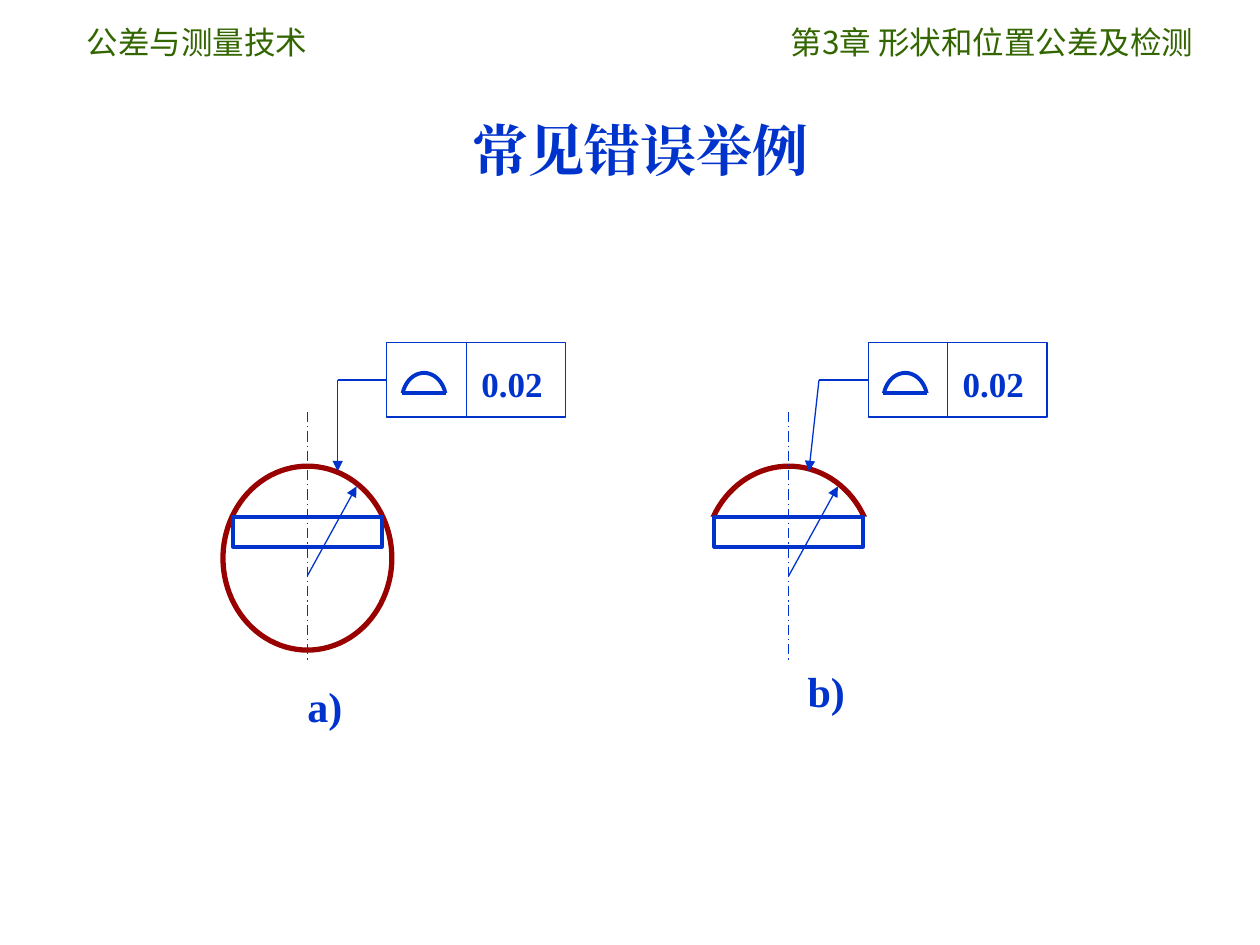
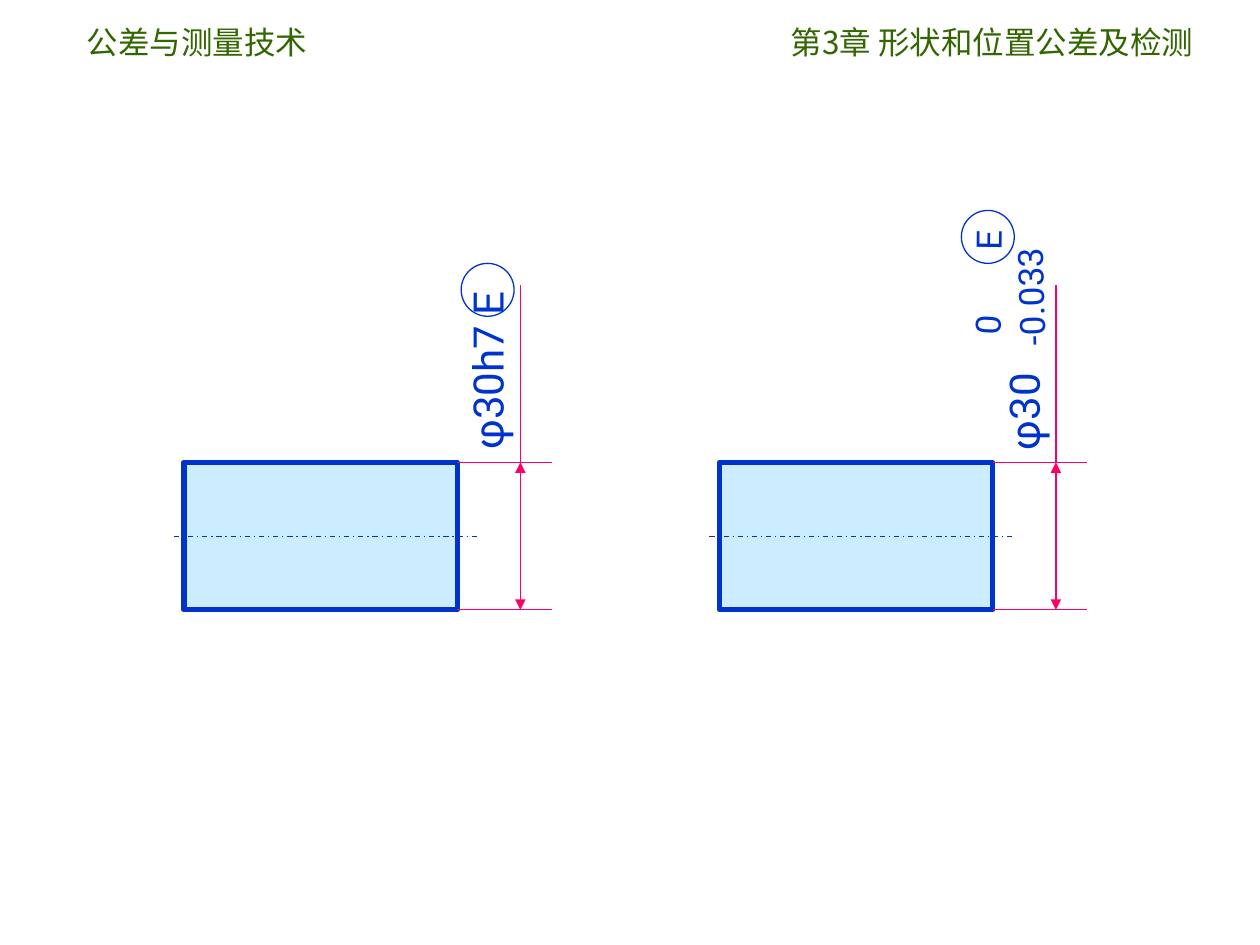
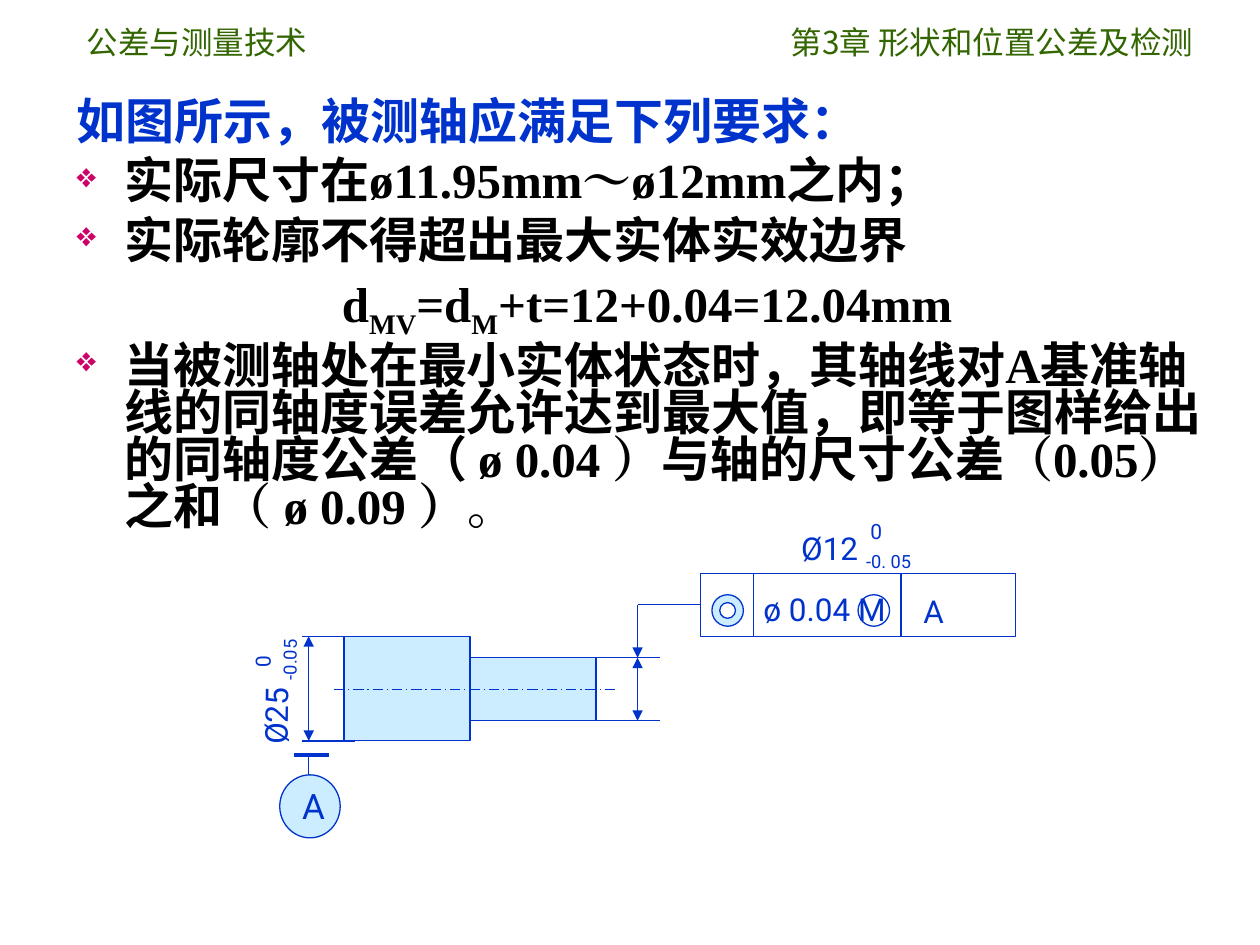
from dataclasses import dataclass
from typing import NamedTuple

import pptx
import pptx.dml.color
import pptx.enum.dml
import pptx.enum.shapes
import pptx.enum.text
import pptx.oxml.ns
import pptx.util
from lxml import etree

RGB = pptx.dml.color.RGBColor
SHAPE = pptx.enum.shapes.MSO_SHAPE
DASH = pptx.enum.dml.MSO_LINE
ALIGN = pptx.enum.text.PP_ALIGN

# Shared look
BLUE = RGB(0x00, 0x33, 0xCC)
GREEN = RGB(0x33, 0x66, 0x00)
RED = RGB(0x99, 0x00, 0x00)
PINK = RGB(0xFF, 0x00, 0x66)
ROSE = RGB(0xCC, 0x00, 0x66)
PALE = RGB(0xCC, 0xEC, 0xFF)
WHITE = RGB(0xFF, 0xFF, 0xFF)
BLACK = RGB(0x00, 0x00, 0x00)
HAN, SANS, SERIF = "Noto Sans CJK SC", "Roboto", "Times New Roman"

# The page is a grid of 100 columns by 75 rows of square cells
WIDE, HIGH = pptx.util.Inches(10), pptx.util.Inches(7.5)
CELL = WIDE // 100


class Box(NamedTuple):
    x: float
    y: float
    w: float
    h: float


class Pen(NamedTuple):
    color: RGB = BLUE
    width: float = 0.75
    dash: DASH | None = None


class Run(NamedTuple):
    words: str
    font: str = HAN
    color: RGB = BLACK
    base: int = 0


@dataclass
class Para:
    runs: list[Run]
    bullet: bool = False
    align: ALIGN = ALIGN.LEFT


@dataclass
class Label:
    words: str
    box: Box
    size: float
    turn: float = 0
    sub: str = ""


THIN, BOLD = Pen(), Pen(width=2.25)
AXIS = Pen(dash=DASH.LONG_DASH_DOT)
MARK = Pen(PINK)


def cells(n: float) -> pptx.util.Emu:
    return pptx.util.Emu(round(n * CELL))


def child(node, tag: str, **attrs: str):
    return etree.SubElement(node, pptx.oxml.ns.qn(tag), attrs)


def ink(line, pen: Pen) -> None:
    line.color.rgb = pen.color
    line.width = pptx.util.Pt(pen.width)
    if pen.dash:
        line.dash_style = pen.dash


def shape(slide, kind: SHAPE, box: Box, fill: RGB | None = None, pen: Pen | None = THIN):
    item = slide.shapes.add_shape(kind, *map(cells, box))
    item.shadow.inherit = False
    if fill is None:
        item.fill.background()
    else:
        item.fill.solid()
        item.fill.fore_color.rgb = fill
    if pen is None:
        item.line.fill.background()
    else:
        ink(item.line, pen)
    return item


def line(slide, x1: float, y1: float, x2: float, y2: float, pen: Pen = THIN,
         head: bool = False, tail: bool = False):
    kind = pptx.enum.shapes.MSO_CONNECTOR.STRAIGHT
    item = slide.shapes.add_connector(kind, *map(cells, (x1, y1, x2, y2)))
    ink(item.line, pen)
    for tag, used in (("a:headEnd", head), ("a:tailEnd", tail)):
        if used:
            child(item.line._get_or_add_ln(), tag, type="triangle")
    child(item._element.spPr, "a:effectLst")
    return item


def text(slide, words: str | list[Para], box: Box, *, size: float, font: str = SANS,
         color: RGB = BLUE, bold: bool = False, align: ALIGN = ALIGN.LEFT,
         turn: float = 0, pad: float = 1, grow: bool = True, hang: float = 0,
         lead: float | None = None, gap: float = 0) -> None:
    item = slide.shapes.add_textbox(*map(cells, box))
    item.rotation = turn
    frame = item.text_frame
    frame.word_wrap = True
    sizing = pptx.enum.text.MSO_AUTO_SIZE
    frame.auto_size = sizing.SHAPE_TO_FIT_TEXT if grow else sizing.NONE
    frame.margin_left = frame.margin_right = cells(pad)
    frame.margin_top = frame.margin_bottom = cells(pad / 2)
    if isinstance(words, str):
        words = [Para([Run(words, font, color)], align=align)]
    for i, para in enumerate(words):
        line_ = frame.add_paragraph() if i else frame.paragraphs[0]
        line_.alignment = para.align
        if lead:
            line_.line_spacing = lead
        if i and gap:
            line_.space_before = pptx.util.Pt(gap)
        props = line_._p.get_or_add_pPr()
        if hang:
            props.set("marL", str(cells(hang)))
            props.set("indent", str(cells(-hang)))
        if para.bullet:
            child(child(props, "a:buClr"), "a:srgbClr", val=str(ROSE))
            child(props, "a:buSzPct", val="70000")
            child(props, "a:buChar", char="❖")
        for part in para.runs:
            run = line_.add_run()
            run.text = part.words
            run.font.size = pptx.util.Pt(size)
            run.font.bold = bold
            run.font.color.rgb = part.color
            run.font.name = part.font
            rpr = run._r.get_or_add_rPr()
            child(rpr, "a:ea", typeface=part.font)
            if part.base:
                rpr.set("baseline", str(part.base * 1000))


def label(slide, tag: Label) -> None:
    runs = [Run(tag.words, SANS, BLUE)]
    if tag.sub:
        runs.append(Run(tag.sub, SANS, BLUE, -25))
    text(slide, [Para(runs)], tag.box, size=tag.size, turn=tag.turn)


def page(deck):
    """A blank slide with the running heads."""
    slide = deck.slides.add_slide(deck.slide_layouts[6])
    text(slide, "公差与测量技术", Box(5.9, 1.3, 21.4, 4), size=18, font=HAN, color=GREEN)
    text(slide, "第3章 形状和位置公差及检测", Box(58.7, 1.3, 37, 4), size=18, font=HAN,
         color=GREEN, align=ALIGN.RIGHT)
    return slide


def control(slide, box: Box, splits: list[float], turn_x: float, tip: tuple[float, float]) -> None:
    """A tolerance frame with its dividers and a bent leader."""
    frame = shape(slide, SHAPE.RECTANGLE, box)
    for split in splits:
        line(slide, box.x + split, box.y, box.x + split, box.y + box.h)
    mid = box.y + box.h / 2
    line(slide, turn_x, mid, *tip, tail=True)
    line(slide, turn_x, mid, box.x, mid).end_connect(frame, 1)


# Slide 1: profile tolerance on a cap
def cap(slide, x: float, tip: float, cut: bool) -> None:
    shape(slide, SHAPE.OVAL, Box(x, 37, 13.4, 14.6), pen=Pen(RED, 3))
    if cut:
        shape(slide, SHAPE.RECTANGLE, Box(x - 1.2, 41, 17.7, 11.4), WHITE, None)
    shape(slide, SHAPE.RECTANGLE, Box(x + 0.8, 41, 11.8, 2.4), WHITE, BOLD)
    mid = x + 6.7
    line(slide, mid, 32.7, mid, 52.4, AXIS)
    line(slide, mid, 45.7, mid + 3.9, 38.6, tail=True)
    # Profile symbol: an oval with its lower part covered
    left = x + 14.2
    shape(slide, SHAPE.OVAL, Box(left, 29.6, 3.5, 4.3), pen=BOLD)
    shape(slide, SHAPE.RECTANGLE, Box(left - 0.4, 31.2, 5.1, 3.5), WHITE, None)
    line(slide, left, 31.2, left + 3.5, 31.2, BOLD)
    text(slide, "0.02", Box(x + 20.5, 28.8, 6.3, 3.3), size=20, font=SERIF, bold=True, pad=0)
    control(slide, Box(x + 13, 27.2, 14.2, 5.9), [6.3], x + 9.1, (x + tip, 37.4))


def errors(deck) -> None:
    slide = page(deck)
    text(slide, "常见错误举例", Box(37.5, 9.2, 28.2, 5.3), size=32, font=SERIF, bold=True, pad=0)
    cap(slide, 17.7, 9.1, False)
    cap(slide, 55.9, 8.3, True)
    for words, x, y in (("a)", 24.4, 54), ("b)", 64.1, 52.8)):
        text(slide, words, Box(x, y, 3.5, 4), size=24, font=SERIF, bold=True, pad=0)


# Slide 2: envelope requirement on a shaft
def shaft(slide, x: float, ring: Box, tags: list[Label]) -> None:
    body = Box(x, 36.7, 21.7, 11.7)
    right, low = body.x + body.w, body.y + body.h
    shape(slide, SHAPE.RECTANGLE, body, PALE, Pen(width=3))
    line(slide, x - 0.8, 42.6, x + 23.3, 42.6, Pen(dash=DASH.DASH_DOT))
    for y in (body.y, low):
        line(slide, right, y, right + 7.5, y, MARK)
    line(slide, right + 5, body.y, right + 5, low, MARK, head=True, tail=True)
    line(slide, right + 5, body.y, right + 5, 22.6, MARK)
    for tag in tags:
        label(slide, tag)
    shape(slide, SHAPE.OVAL, ring)


def limits(deck) -> None:
    slide = page(deck)
    shaft(slide, 57.1, Box(76.3, 16.7, 4.2, 4.2), [
        Label("φ30", Box(76.2, 29.2, 10, 5), 24, 270),
        Label("0", Box(74.7, 21.6, 7.5, 4.4), 20, 272.7),
        Label("-0.033", Box(76.8, 21.2, 10, 4.4), 20, 268.4),
        Label("E", Box(75.1, 15.3, 6.7, 4.4), 20, 270.7),
    ])
    shaft(slide, 14.6, Box(36.6, 20.9, 4.2, 4.2), [
        Label("φ30h7 E", Box(28.7, 24.2, 19.9, 5), 24, 270),
    ])


# Slide 3: maximum material requirement
NOTES = [
    Para([Run("如图所示，被测轴应满足下列要求：", color=BLUE)]),
    Para([Run("实际尺寸在"), Run("ø11.95mm～ø12mm", SERIF), Run("之内；")], True),
    Para([Run("实际轮廓不得超出最大实体实效边界")], True),
    Para([Run("d", SERIF), Run("MV", SERIF, base=-25), Run("=d", SERIF),
          Run("M", SERIF, base=-25), Run("+t=12+0.04=12.04mm", SERIF)], align=ALIGN.CENTER),
    Para([Run("当被测轴处在最小实体状态时，其轴线对"), Run("A", SERIF),
          Run("基准轴线的同轴度误差允许达到最大值，即等于图样给出的同轴度公差（ "),
          Run("ø 0.04 ）", SERIF), Run("与轴的尺寸公差"), Run("（0.05）", SERIF),
          Run("之和"), Run("（ ø 0.09 ）。", SERIF)], True),
]

TAGS = [
    Label("Ø12 ", Box(62.6, 41.5, 11.2, 4.4), 18, sub="-0. 05"),
    Label("Ø25 ", Box(16.7, 52.5, 10.8, 4.4), 18, 270.9, "-0.05"),
    Label("ø 0.04 M", Box(59.6, 46.3, 12, 4), 18),
    Label("A", Box(72.3, 46.5, 4.8, 4), 18),
    Label("0", Box(68.1, 40.7, 2.5, 3), 12),
    Label("0", Box(19.6, 51.2, 2.5, 3), 12, 269.3),
    Label("A", Box(23, 61.8, 3.1, 4.4), 20),
]


def size(slide, x: float, part: Box, left: float, right: float) -> None:
    """A vertical dimension with its two extension lines."""
    low = part.y + part.h
    for y in (part.y, low):
        line(slide, left, y, right, y)
    line(slide, x, part.y, x, low, head=True, tail=True)


def material(deck) -> None:
    slide = page(deck)
    text(slide, NOTES, Box(5.1, 7.6, 92.5, 36.7), size=28, bold=True, grow=False,
         hang=3.8, lead=0.8, gap=7)
    # Stepped shaft
    big, small = Box(27.3, 50.5, 10, 8.3), Box(37.3, 52.2, 10, 5)
    for part in (big, small):
        shape(slide, SHAPE.RECTANGLE, part, PALE)
    line(slide, 26.5, 54.7, 49, 54.7, AXIS)
    size(slide, 24.5, big, 24, 28.2)
    size(slide, 50.6, small, 47.3, 52.4)
    # Tolerance frame
    control(slide, Box(55.6, 45.5, 25, 5), [4.2, 15.9], 50.6, (50.6, small.y))
    shape(slide, SHAPE.DONUT, Box(56.5, 47.2, 2.5, 2.5), PALE).adjustments[0] = 0.25
    shape(slide, SHAPE.OVAL, Box(68.1, 47.2, 2.5, 2.5))
    # Datum mark
    shape(slide, SHAPE.OVAL, Box(22.2, 61.5, 4.8, 5), PALE)
    line(slide, 23.3, 59.9, 26.1, 59.9, BOLD)
    line(slide, 24.5, 59.9, 24.5, 61.5)
    for tag in TAGS:
        label(slide, tag)


def main() -> None:
    deck = pptx.Presentation()
    deck.slide_width, deck.slide_height = WIDE, HIGH
    for build in (errors, limits, material):
        build(deck)
    deck.save("out.pptx")


if __name__ == "__main__":
    main()
